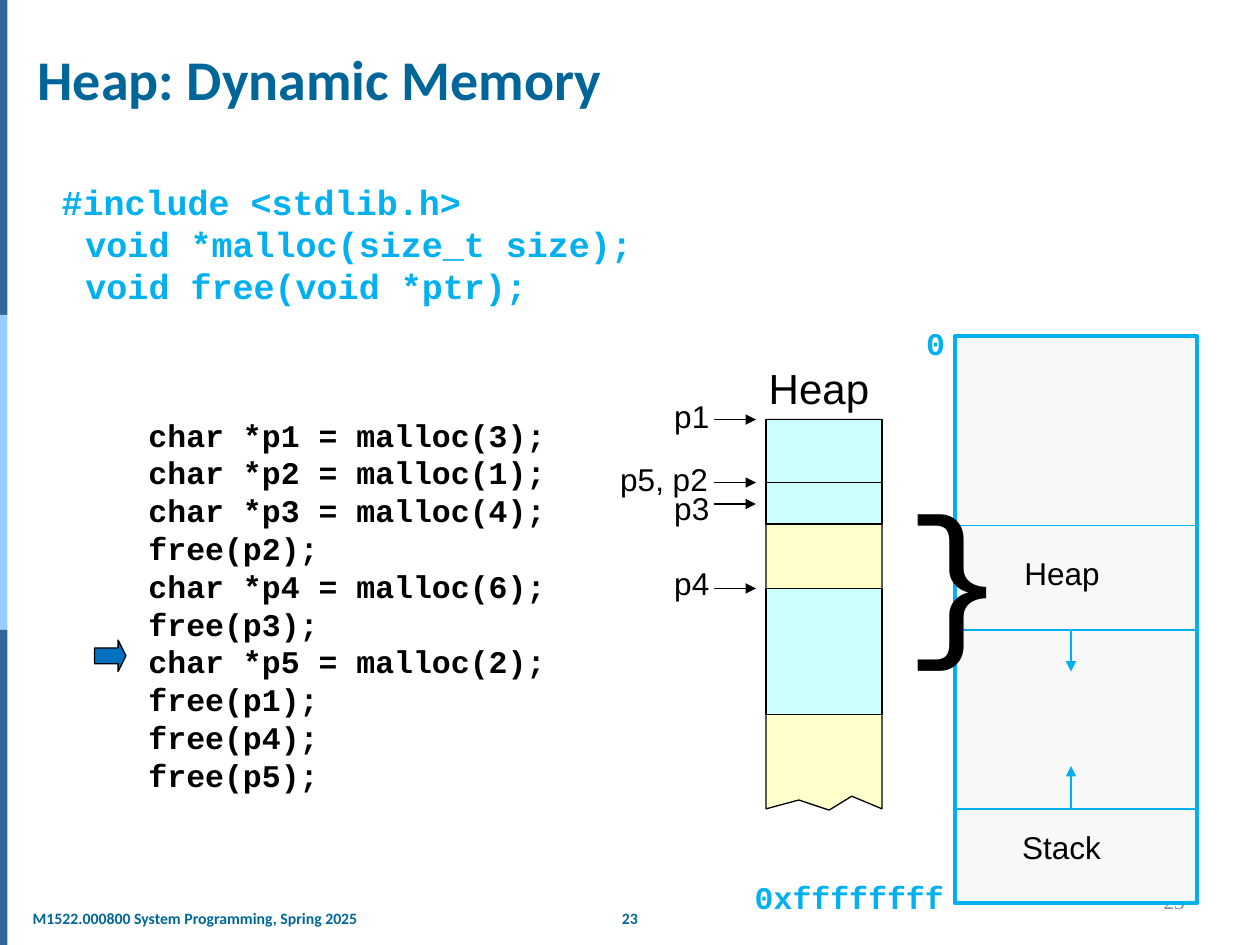
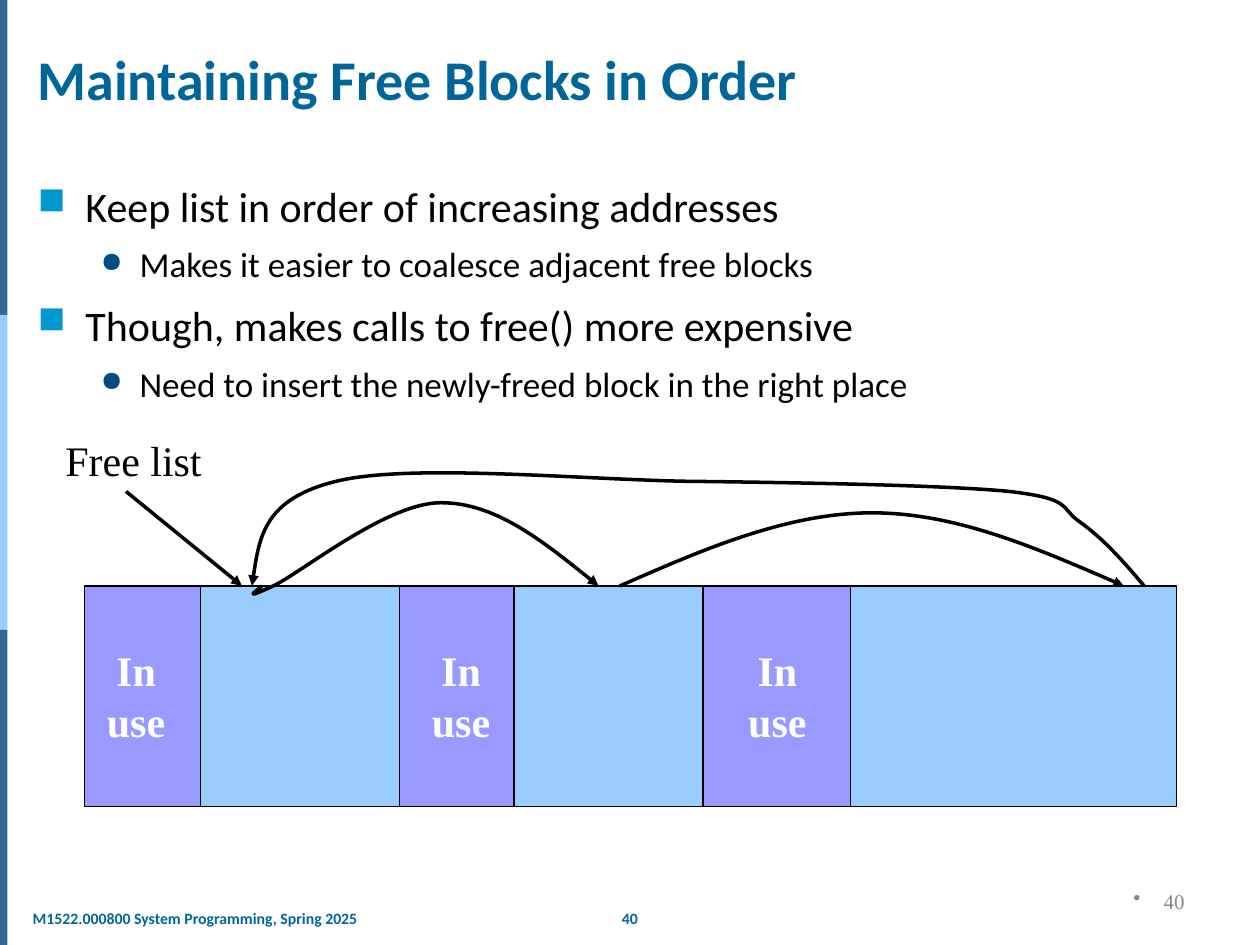
from pptx import Presentation
from pptx.dml.color import RGBColor
from pptx.enum.shapes import MSO_CONNECTOR, MSO_SHAPE
from pptx.enum.text import MSO_ANCHOR, PP_ALIGN
from pptx.oxml.ns import qn
from pptx.util import Inches, Pt
from lxml.etree import SubElement

# Colours and fonts
BLACK = RGBColor(0x00, 0x00, 0x00)
WHITE = RGBColor(0xFF, 0xFF, 0xFF)
GREY = RGBColor(0x89, 0x89, 0x89)
TITLE_BLUE = RGBColor(0x00, 0x66, 0x99)
BAND_DARK = RGBColor(0x33, 0x66, 0x99)
SKY = RGBColor(0x99, 0xCC, 0xFF)
CYAN = RGBColor(0x00, 0xB0, 0xF0)
MARKER_BLUE = RGBColor(0x00, 0x70, 0xC0)
MEMORY_GREY = RGBColor(0xF8, 0xF8, 0xF8)
ALLOCATED = RGBColor(0xCC, 0xFF, 0xFF)
FREE_YELLOW = RGBColor(0xFF, 0xFF, 0xCC)
IN_USE = RGBColor(0x99, 0x99, 0xFF)
SANS, BODY, MONO, SERIF = "Arial", "Calibri", "Courier New", "Times New Roman"
LEFT, CENTER, RIGHT = PP_ALIGN.LEFT, PP_ALIGN.CENTER, PP_ALIGN.RIGHT

# Shared content
COURSE = "M1522.000800 System Programming, Spring 2025"
BODY_BOX = (0.2, 1.38, 9.65, 5.71)

# Slide 1 content
PROTOTYPES = "#include <stdlib.h>\vvoid *malloc(size_t size);\vvoid free(void *ptr);"
CODE = [
    "char *p1 = malloc(3);",
    "char *p2 = malloc(1);",
    "char *p3 = malloc(4);",
    "free(p2);",
    "char *p4 = malloc(6);",
    "free(p3);",
    "char *p5 = malloc(2);",
    "free(p1);",
    "free(p4);",
    "free(p5);",
]
HEAP_X, HEAP_W = 6.08, 0.92
HEAP_OUTLINE = [(6.08, 6.42), (6.34, 6.35), (6.58, 6.43), (6.76, 6.32),
                (7, 6.42), (7, 3.33), (6.08, 3.33)]
HEAP_BLOCKS = [(3.33, 0.5), (3.83, 0.33), (4.67, 1)]  # top, height
# label, left, top, width, arrow height
POINTERS = [
    ("p1", 5.25, 3.1, 0.48, 3.33),
    ("p5, p2", 4.82, 3.6, 0.9, 3.83),
    ("p3", 5.25, 3.83, 0.48, 4),
    ("p4", 5.25, 4.43, 0.48, 4.67),
]
MEMORY_X, MEMORY_W = 7.58, 1.92
MEMORY_DIVIDERS = [4.17, 5, 6.42]
GROWTH = [(5, 5.33), (6.42, 6.08)]  # heap grows down, stack grows up
# text, box, size, font, colour, bold
MEMORY_LABELS = [
    ("0", (7.25, 2.52, 0.35, 0.4), 18, MONO, CYAN, True),
    ("0xffffffff", (5.89, 6.92, 1.7, 0.4), 18, MONO, CYAN, True),
    ("Heap", (6, 2.83, 1, 0.5), 24, SANS, BLACK, False),
    ("Heap", (8.03, 4.35, 0.8, 0.4), 18, SANS, BLACK, False),
    ("Stack", (8.01, 6.52, 0.83, 0.4), 18, SANS, BLACK, False),
]

# Slide 2 content
BULLETS = [
    (0, "Keep list in order of increasing addresses"),
    (1, "Makes it easier to coalesce adjacent free blocks"),
    (0, "Though, makes calls to free() more expensive"),
    (1, "Need to insert the newly-freed block in the right place"),
]
# margin, indent, character, colour, bullet size %, text size, space before
LEVELS = [
    (0.38, -0.38, "■", "0098CD", 90, 24, 8.4),
    (0.81, -0.31, "●", "004D86", 80, 20, 7),
]
BLOCK_TOP, BLOCK_H = 4.65, 1.75
BLOCKS = [(0.67, 8.67, SKY), (0.67, 0.92, IN_USE), (3.17, 0.92, IN_USE),
          (4.08, 1.5, SKY), (5.58, 1.17, IN_USE)]  # left, width, fill
IN_USE_LEFTS = [0.75, 3.33, 5.84]
# Each curve: start point, then two control points and an end point per piece
LINKS = [
    [(2.08, 4.65), (2.01, 4.71), (1.93, 4.76), (2.17, 4.65),
     (2.4, 4.54), (3.07, 3.99), (3.5, 3.99),
     (3.93, 3.99), (4.34, 4.32), (4.75, 4.65)],
    [(4.92, 4.65), (5.58, 4.36), (6.25, 4.07), (6.92, 4.07),
     (7.58, 4.07), (8.25, 4.36), (8.92, 4.65)],
    [(9.08, 4.65), (8.92, 4.46), (8.76, 4.28), (8.58, 4.15),
     (8.4, 4.03), (8.53, 3.96), (8, 3.9),
     (7.47, 3.85), (6.31, 3.83), (5.42, 3.82),
     (4.53, 3.8), (3.24, 3.68), (2.67, 3.82),
     (2.1, 3.96), (2.05, 4.3), (2, 4.65)],
]


def add_text(s, lines, box, size, font, color, bold=False, align=LEFT,
             anchor=MSO_ANCHOR.TOP, wrap=False):
    tf = s.shapes.add_textbox(*map(Inches, box)).text_frame
    tf.text = lines if isinstance(lines, str) else "\n".join(lines)
    tf.word_wrap, tf.vertical_anchor = wrap, anchor
    for p in tf.paragraphs:
        p.alignment = align
        for r in p.runs:
            r.font.size, r.font.name, r.font.bold = Pt(size), font, bold
            r.font.color.rgb = color
    return tf


def set_indent(p, margin, indent, char=None, color=None, percent=None):
    pPr = p._p.get_or_add_pPr()
    pPr.set("marL", str(Inches(margin)))
    pPr.set("indent", str(Inches(indent)))
    if color:
        SubElement(SubElement(pPr, qn("a:buClr")), qn("a:srgbClr")).set("val", color)
    if percent:
        SubElement(pPr, qn("a:buSzPct")).set("val", str(percent * 1000))
    if char:
        SubElement(pPr, qn("a:buChar")).set("char", char)


def style(sp, fill=None, line=None, width=0.75):
    sp.shadow.inherit = False
    if fill is None:
        sp.fill.background()
    else:
        sp.fill.solid()
        sp.fill.fore_color.rgb = fill
    if line is None:
        sp.line.fill.background()
    else:
        sp.line.color.rgb = line
        sp.line.width = Pt(width)
    return sp


def add_box(s, box, fill, line=None, width=0.75, kind=MSO_SHAPE.RECTANGLE):
    return style(s.shapes.add_shape(kind, *map(Inches, box)), fill, line, width)


def add_arrowhead(sp):
    ln = sp._element.spPr.find(qn("a:ln"))
    SubElement(ln, qn("a:tailEnd")).set("type", "triangle")


def add_line(s, start, end, color, width=0.75, arrow=False):
    sp = s.shapes.add_connector(MSO_CONNECTOR.STRAIGHT, *map(Inches, start + end))
    sp.line.color.rgb = color
    sp.line.width = Pt(width)
    SubElement(sp._element.spPr, qn("a:effectLst"))
    if arrow:
        add_arrowhead(sp)


def add_outline(s, points, close):
    first, *rest = [tuple(map(Inches, pt)) for pt in points]
    fb = s.shapes.build_freeform(*first)
    fb.add_line_segments(rest, close=close)
    return fb.convert_to_shape()


def add_curve(s, points):
    """Draw a Bezier arrow by turning every three segments into one curve."""
    sp = style(add_outline(s, points, False), line=BLACK, width=2)
    path = sp._element.spPr.find(".//" + qn("a:path"))
    segments = path.findall(qn("a:lnTo"))
    for i in range(0, len(segments), 3):
        curve = SubElement(path, qn("a:cubicBezTo"))
        for seg in segments[i:i + 3]:
            curve.append(seg[0])
            path.remove(seg)
    add_arrowhead(sp)


def add_slide(prs, title, number):
    s = prs.slides.add_slide(prs.slide_layouts[6])
    # Side band
    for i, color in enumerate([BAND_DARK, SKY, BAND_DARK]):
        add_box(s, (0, 2.5 * i, 0.06, 2.5), color)
    # Footer and title
    add_text(s, number, (4.82, 7.16, 0.36, 0.25), 9, BODY, TITLE_BLUE, True, CENTER)
    tf = add_text(s, COURSE, (0.2, 7.16, 2.72, 0.25), 9, BODY, TITLE_BLUE, True)
    tf.margin_left = tf.margin_right = Inches(0.06)
    add_text(s, title, (0.2, 0.31, 9.65, 0.63), 32, BODY, TITLE_BLUE, True,
             anchor=MSO_ANCHOR.BOTTOM, wrap=True)
    # Corner page number
    tf = add_text(s, number, (7.17, 6.95, 2.33, 0.4), 12, SERIF, GREY,
                  align=RIGHT, anchor=MSO_ANCHOR.MIDDLE, wrap=True)
    set_indent(tf.paragraphs[0], 0.24, -0.24, "•")
    return s


def build_heap_slide(prs):
    s = add_slide(prs, "Heap: Dynamic Memory", "23")
    tf = add_text(s, PROTOTYPES, BODY_BOX, 20, MONO, CYAN, True, wrap=True)
    set_indent(tf.paragraphs[0], 0.38, -0.19)

    # Address space
    style(add_outline(s, HEAP_OUTLINE, True), FREE_YELLOW, BLACK)
    add_box(s, (MEMORY_X, 2.67, MEMORY_W, 4.5), MEMORY_GREY, CYAN, 2.25)
    for y in MEMORY_DIVIDERS:
        add_line(s, (MEMORY_X, y), (MEMORY_X + MEMORY_W, y), CYAN)
    for start, end in GROWTH:
        add_line(s, (8.5, start), (8.5, end), CYAN, arrow=True)
    for text, box, size, font, color, bold in MEMORY_LABELS:
        add_text(s, text, box, size, font, color, bold, CENTER)
    add_text(s, "}", (7.08, 3.67, 0.4, 1.7), 96, MONO, BLACK, align=CENTER, wrap=True)

    # Code and current step
    add_text(s, CODE, (1.08, 3.25, 3.42, 3.1), 18, MONO, BLACK, True, wrap=True)
    step = add_box(s, (0.75, 5.08, 0.25, 0.25), MARKER_BLUE, BLACK,
                   kind=MSO_SHAPE.RIGHT_ARROW)
    step.adjustments[0], step.adjustments[1] = 0.5, 0.25

    # Heap blocks and pointers
    for top, height in HEAP_BLOCKS:
        add_box(s, (HEAP_X, top, HEAP_W, height), ALLOCATED, BLACK)
    for label, left, top, width, y in POINTERS:
        add_text(s, label, (left, top, width, 0.4), 18, SANS, BLACK, align=CENTER)
        add_line(s, (5.67, y), (6, y), BLACK, arrow=True)


def build_free_list_slide(prs):
    s = add_slide(prs, "Maintaining Free Blocks in Order", "40")
    tf = add_text(s, [text for _, text in BULLETS], BODY_BOX, 24, BODY, BLACK, wrap=True)
    for i, (p, (level, _)) in enumerate(zip(tf.paragraphs, BULLETS)):
        margin, indent, char, color, percent, size, before = LEVELS[level]
        p.level = level
        if i:
            p.space_before = Pt(before)
        set_indent(p, margin, indent, char, color, percent)
        p.runs[0].font.size = Pt(size)

    # Memory blocks
    for left, width, fill in BLOCKS:
        add_box(s, (left, BLOCK_TOP, width, BLOCK_H), fill, BLACK)
    for left in IN_USE_LEFTS:
        add_text(s, ["In", "use"], (left, 5.07, 0.66, 0.9), 24, SERIF, WHITE, True, CENTER)

    # Free list links
    add_text(s, "Free list", (0.42, 3.4, 1.28, 0.5), 24, SERIF, BLACK)
    add_line(s, (1, 3.9), (1.92, BLOCK_TOP), BLACK, 2, arrow=True)
    for points in LINKS:
        add_curve(s, points)


def main():
    prs = Presentation()
    prs.slide_width, prs.slide_height = Inches(10), Inches(7.5)
    build_heap_slide(prs)
    build_free_list_slide(prs)
    prs.save("out.pptx")


if __name__ == "__main__":
    main()
